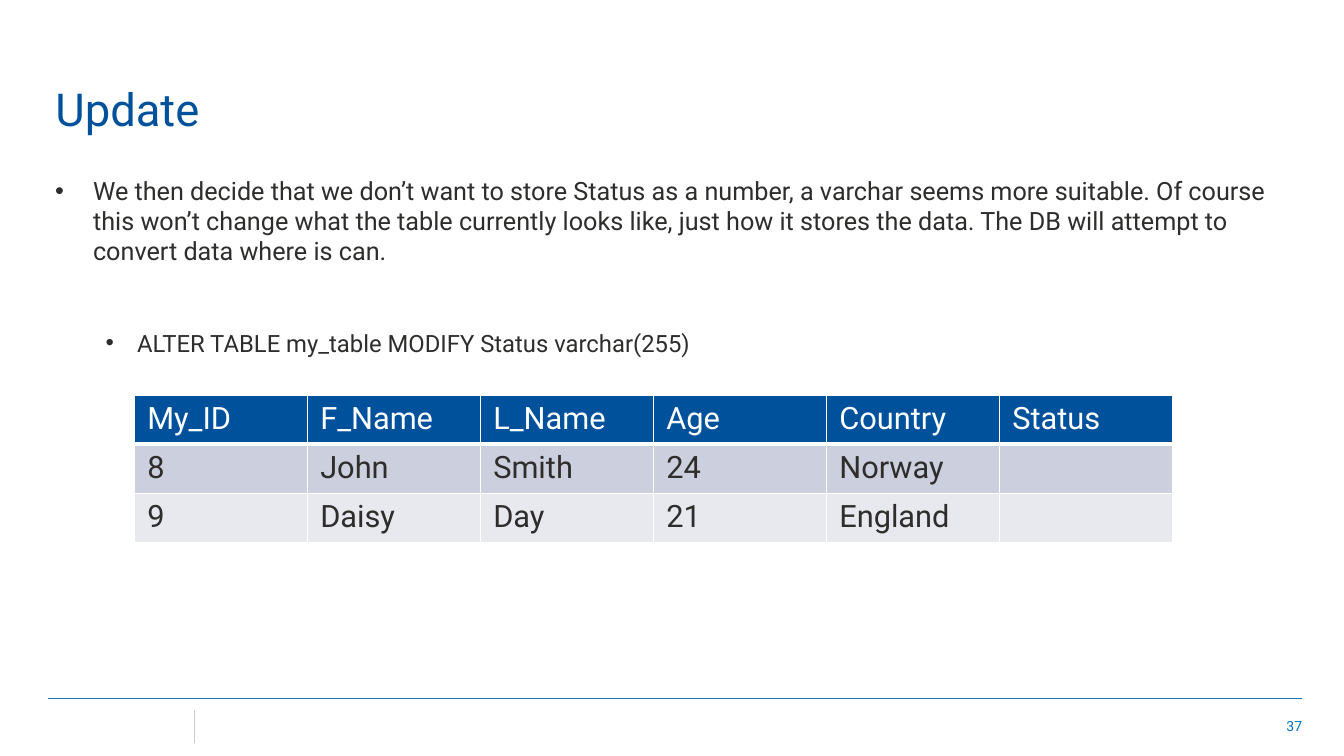
from lxml.etree import SubElement
from pptx import Presentation
from pptx.dml.color import RGBColor
from pptx.enum.shapes import MSO_CONNECTOR
from pptx.enum.text import MSO_ANCHOR, MSO_AUTO_SIZE, PP_ALIGN
from pptx.oxml.ns import qn
from pptx.util import Pt

FONT = "Roboto"
WHITE = RGBColor(0xFF, 0xFF, 0xFF)
NAVY = RGBColor(0x00, 0x51, 0x9C)
INK = RGBColor(0x2E, 0x2D, 0x2C)
NUMBER_BLUE = RGBColor(0x00, 0x70, 0xC0)
RULE_BLUE = RGBColor(0x1C, 0x78, 0xB0)
RULE_GREY = RGBColor(0xCC, 0xCA, 0xC9)
BAND_DARK = RGBColor(0xCC, 0xD0, 0xDE)
BAND_LIGHT = RGBColor(0xE7, 0xE9, 0xEF)

BULLETS = [
    ("We then decide that we don’t want to store Status as a number, a varchar seems "
     "more suitable. Of course this won’t change what the table currently looks like, "
     "just how it stores the data. The DB will attempt to convert data where is can.",
     dict(size=18, level=0, margin=27, hanging=27, before=2)),
    ("ALTER TABLE my_table MODIFY Status varchar(255)",
     dict(size=17, level=1, margin=58.5, hanging=22.5, before=36.5)),
]
ROWS = [
    ("My_ID", "F_Name", "L_Name", "Age", "Country", "Status"),
    ("8", "John", "Smith", "24", "Norway", ""),
    ("9", "Daisy", "Day", "21", "England", ""),
]
ROW_FILLS = (NAVY, BAND_DARK, BAND_LIGHT)


def write(paragraph, text, size=18, color=INK, align=PP_ALIGN.LEFT):
    """Put formatted text in a paragraph."""
    paragraph.alignment = align
    run = paragraph.add_run()
    run.text = text
    run.font.name = FONT
    run.font.size = Pt(size)
    run.font.color.rgb = color


def add_title(slide, left, top, width, height):
    """Place the title in its box."""
    title = slide.shapes.title
    title.left, title.top, title.width, title.height = map(Pt, (left, top, width, height))
    frame = title.text_frame
    frame.auto_size = MSO_AUTO_SIZE.NONE
    frame.vertical_anchor = MSO_ANCHOR.BOTTOM
    write(frame.paragraphs[0], "Update", size=32.4, color=NAVY)


def set_bullet(paragraph, margin, hanging):
    """Give a paragraph a hanging round bullet."""
    properties = paragraph._p.get_or_add_pPr()
    properties.set("marL", str(Pt(margin)))
    properties.set("indent", str(-Pt(hanging)))
    SubElement(properties, qn("a:buFont"), typeface="Arial")
    SubElement(properties, qn("a:buChar"), char="•")


def add_bullets(slide, left, top, width, height):
    """Place the bulleted text in its box."""
    frame = slide.shapes.add_textbox(*map(Pt, (left, top, width, height))).text_frame
    frame.word_wrap = True
    for index, (text, style) in enumerate(BULLETS):
        paragraph = frame.add_paragraph() if index else frame.paragraphs[0]
        paragraph.level = style["level"]
        paragraph.space_before = Pt(style["before"])
        paragraph.space_after = Pt(8)
        write(paragraph, text, size=style["size"])
        set_bullet(paragraph, style["margin"], style["hanging"])


def set_borders(cell, bottom):
    """Draw white borders around a cell."""
    properties = cell._tc.get_or_add_tcPr()
    widths = {"a:lnL": 1, "a:lnR": 1, "a:lnT": 1, "a:lnB": bottom}
    for position, (side, width) in enumerate(widths.items()):
        line = SubElement(properties, qn(side), w=str(Pt(width)))
        fill = SubElement(line, qn("a:solidFill"))
        SubElement(fill, qn("a:srgbClr"), val=str(WHITE))
        properties.insert(position, line)


def add_records(slide, left, top, width, height):
    """Place the table of records in its box."""
    box = map(Pt, (left, top, width, height))
    table = slide.shapes.add_table(len(ROWS), len(ROWS[0]), *box).table
    for row_index, (values, fill) in enumerate(zip(ROWS, ROW_FILLS)):
        is_header = row_index == 0
        for column_index, value in enumerate(values):
            cell = table.cell(row_index, column_index)
            cell.margin_left = cell.margin_right = Pt(9.2)
            cell.margin_top = cell.margin_bottom = Pt(4.3)
            cell.fill.solid()
            cell.fill.fore_color.rgb = fill
            set_borders(cell, 3 if is_header else 1)
            if value:
                write(cell.text_frame.paragraphs[0], value, size=22,
                      color=WHITE if is_header else INK)


def add_rule(slide, left, top, right, bottom, color):
    """Draw a thin straight line."""
    ends = map(Pt, (left, top, right, bottom))
    rule = slide.shapes.add_connector(MSO_CONNECTOR.STRAIGHT, *ends)
    rule.line.color.rgb = color
    rule.line.width = Pt(0.25)
    SubElement(rule._element.spPr, qn("a:effectLst"))


def add_footer(slide, left, top, width, height):
    """Place the footer rules and slide number in their box."""
    right = left + width
    add_rule(slide, left, top, right, top, RULE_BLUE)
    add_rule(slide, left + 104.5, top + 8, left + 104.5, top + height, RULE_GREY)
    number = slide.shapes.add_textbox(Pt(right - 216), Pt(top + 5), Pt(223.2), Pt(29))
    frame = number.text_frame
    frame.word_wrap = True
    frame.vertical_anchor = MSO_ANCHOR.MIDDLE
    write(frame.paragraphs[0], "37", size=10, color=NUMBER_BLUE, align=PP_ALIGN.RIGHT)


def main():
    """Build and save the slide."""
    presentation = Presentation()
    presentation.slide_width, presentation.slide_height = Pt(960), Pt(540)
    slide = presentation.slides.add_slide(presentation.slide_layouts[5])
    add_footer(slide, 34.5, 499, 895.5, 31.7)
    add_bullets(slide, 32.4, 121.7, 897.8, 357.8)
    add_title(slide, 32.4, 51, 718.6, 49.7)
    add_records(slide, 96, 282.4, 741.6, 105)
    presentation.save("out.pptx")


if __name__ == "__main__":
    main()
